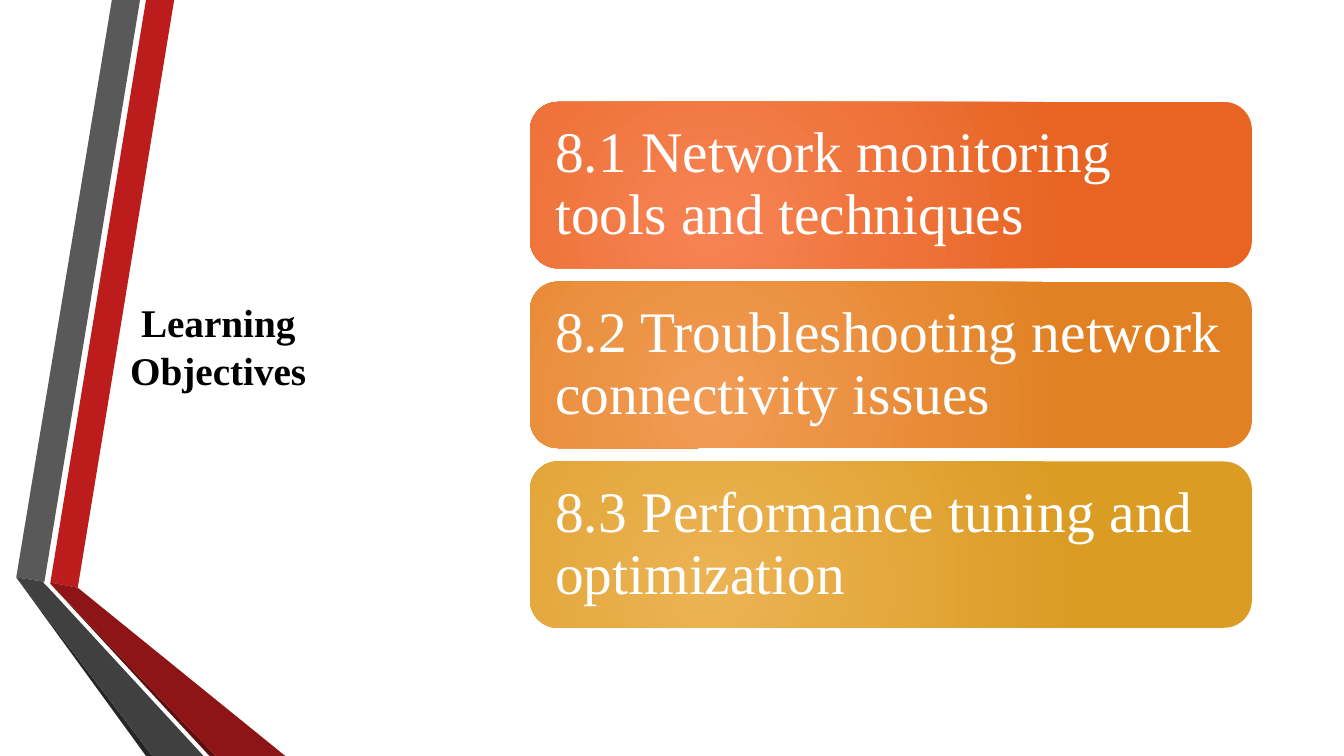
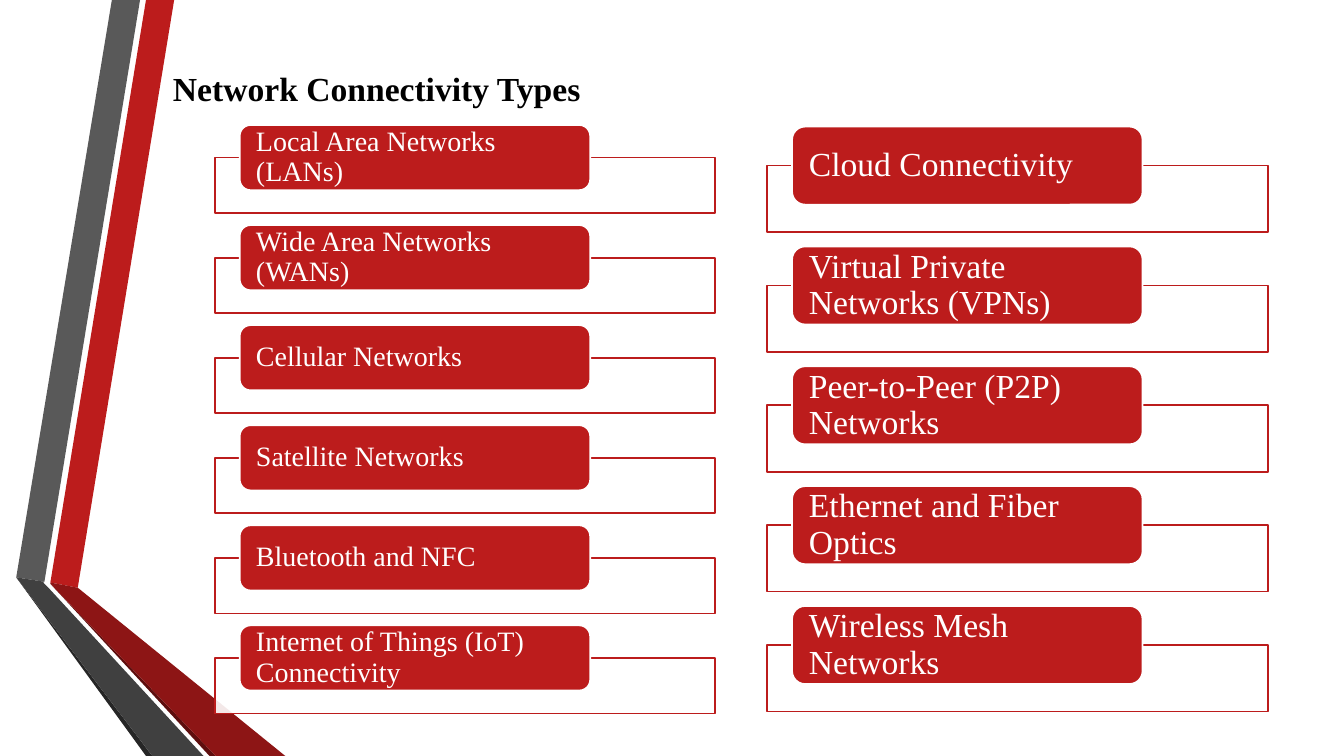
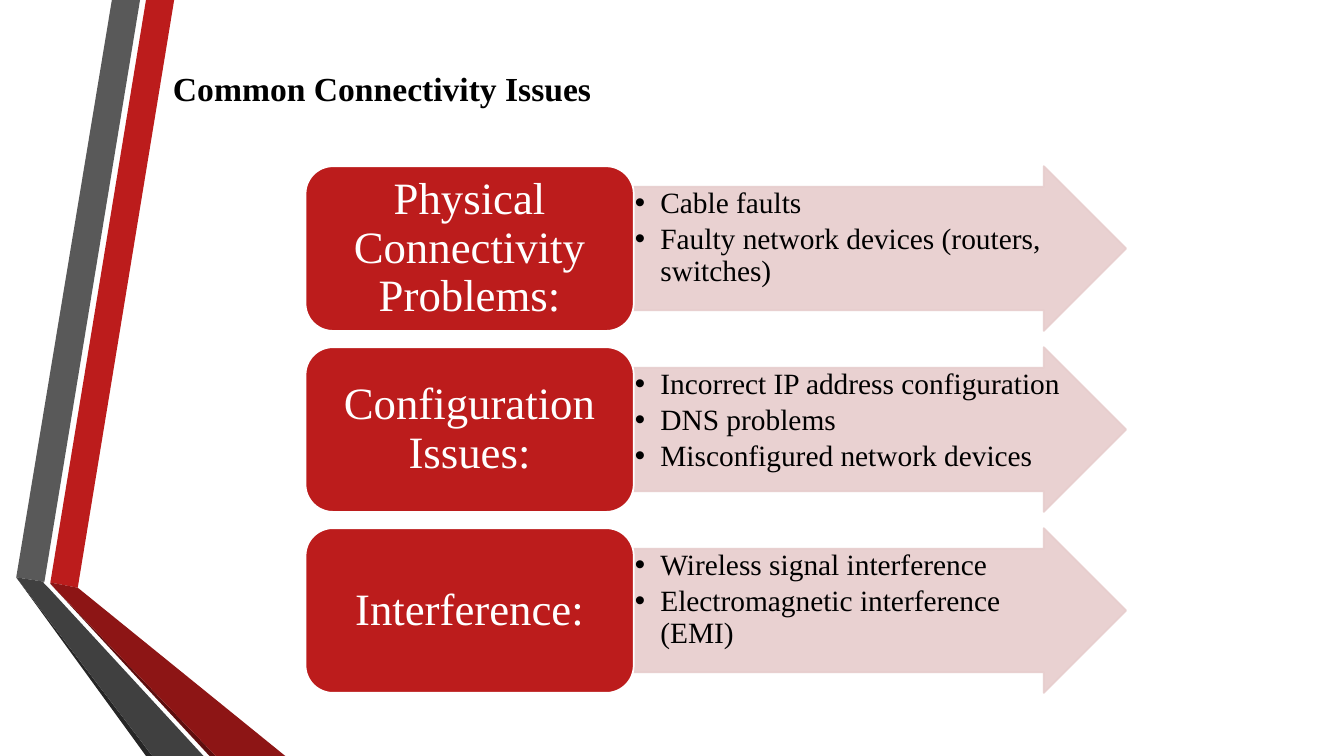
from collections import namedtuple

from lxml.etree import SubElement
from pptx import Presentation
from pptx.dml.color import RGBColor
from pptx.enum.shapes import MSO_SHAPE
from pptx.enum.text import MSO_ANCHOR, PP_ALIGN
from pptx.oxml.ns import qn
from pptx.util import Cm, Pt

Box = namedtuple("Box", "left top width height")  # centimetres

FONT = "Times New Roman"
RED, PINK, WHITE, BLACK = "BC1C1C", "E7CDCD", "FFFFFF", "000000"
LINE_WIDTH = Pt(1.25)
OPACITY = 90

RIBBONS = [
    (RED, [(1.27, 14.68), (1.96, 14.81), (4.39, 0), (3.68, 0)]),
    ("595959", [(3.53, 0), (2.82, 0), (0.41, 14.55), (1.12, 14.66)]),
    ("262626", [(0.41, 14.55), (3.68, 19.05), (3.84, 19.05)]),
    ("5E0E0E", [(1.27, 14.71), (5.28, 19.05), (5.44, 19.05)]),
    ("8D1515", [(1.27, 14.71), (5.44, 19.05), (7.19, 19.05), (1.96, 14.81), (1.27, 14.68)]),
    ("404040", [(5.13, 19.05), (1.22, 14.81), (1.09, 14.68), (1.12, 14.66),
                (0.41, 14.55), (3.84, 19.05)]),
]
HEADING_BOX = Box(4.11, 1.57, 27.84, 1.45)

OBJECTIVES = [
    ("8.1 Network monitoring tools and techniques", "F78354", "E76422"),
    ("8.2 Troubleshooting network connectivity issues", "F19B54", "E18123"),
    ("8.3 Performance tuning and optimization", "ECB354", "DB9C24"),
]
BASIC_TYPES = [
    "Local Area Networks (LANs)", "Wide Area Networks (WANs)", "Cellular Networks",
    "Satellite Networks", "Bluetooth and NFC", "Internet of Things (IoT) Connectivity",
]
ADVANCED_TYPES = [
    "Cloud Connectivity", "Virtual Private Networks (VPNs)", "Peer-to-Peer (P2P) Networks",
    "Ethernet and Fiber Optics", "Wireless Mesh Networks",
]
ISSUES = [
    ("Physical Connectivity Problems:",
     ["Cable faults", "Faulty network devices (routers, switches)"]),
    ("Configuration Issues:",
     ["Incorrect IP address configuration", "DNS problems", "Misconfigured network devices"]),
    ("Interference:",
     ["Wireless signal interference", "Electromagnetic interference (EMI)"]),
]


def rgb(color):
    return RGBColor.from_string(color)


def apply_format(target, values):
    for name, value in values.items():
        setattr(target, name, value)


def lengths(box):
    return [Cm(value) for value in box]


def split_rows(box, count, gap):
    """Divide a box into equal rows with a fixed gap between them."""
    height = (box.height - gap * (count - 1)) / count
    return [Box(box.left, box.top + index * (height + gap), box.width, height)
            for index in range(count)]


def paint(shape, fill=None, line=None):
    shape.shadow.inherit = False
    if fill:
        shape.fill.solid()
        shape.fill.fore_color.rgb = rgb(fill)
    if line:
        shape.line.color.rgb = rgb(line)
        shape.line.width = LINE_WIDTH
    else:
        shape.line.fill.background()


def make_translucent(shape, *parents):
    """Set the opacity of the solid fill found directly under each parent tag."""
    for parent in parents:
        for color in shape.element.iterfind(f".//{qn(parent)}/{qn('a:solidFill')}/{qn('a:srgbClr')}"):
            SubElement(color, qn("a:alpha"), val=str(OPACITY * 1000))


def paint_radial(shape, inner, outer):
    paint(shape)
    shape.fill.gradient()
    for stop, color in zip(shape.fill.gradient_stops, (inner, outer)):
        stop.color.rgb = rgb(color)
    gradient = shape.element.spPr.find(qn("a:gradFill"))
    gradient.remove(gradient.find(qn("a:lin")))
    circle = SubElement(gradient, qn("a:path"), path="circle")
    SubElement(circle, qn("a:fillToRect"), l="50000", t="100000", r="100000", b="50000")


def add_bullet(paragraph, indent):
    properties = paragraph._p.get_or_add_pPr()
    properties.set("marL", str(indent))
    properties.set("indent", str(-indent))
    SubElement(properties, qn("a:buFont"), typeface="Arial")
    SubElement(properties, qn("a:buChar"), char="•")


def write(shape, texts, size, color=WHITE, bold=False, margins=(0.25, 0.13),
          anchor=MSO_ANCHOR.MIDDLE, align=PP_ALIGN.LEFT, spacing=0.9, bullets=False):
    """Fill a shape with one paragraph per text; margins are horizontal, vertical."""
    horizontal, vertical = map(Cm, margins)
    frame = shape.text_frame
    apply_format(frame, {
        "word_wrap": True, "vertical_anchor": anchor,
        "margin_left": horizontal, "margin_right": horizontal,
        "margin_top": vertical, "margin_bottom": vertical,
    })
    for index, text in enumerate(texts):
        paragraph = frame.add_paragraph() if index else frame.paragraphs[0]
        apply_format(paragraph, {"alignment": align, "line_spacing": spacing})
        if bullets:
            paragraph.space_after = Pt(3)
            add_bullet(paragraph, Cm(0.64))
        run = paragraph.add_run()
        run.text = text
        apply_format(run.font, {"name": FONT, "size": Pt(size), "bold": bold})
        run.font.color.rgb = rgb(color)


def add_ribbons(slide):
    for color, points in RIBBONS:
        start, *others = [(Cm(x), Cm(y)) for x, y in points]
        builder = slide.shapes.build_freeform(*start)
        builder.add_line_segments(others, close=True)
        paint(builder.convert_to_shape(), color)


def add_title(slide, box, text, size, **text_format):
    title = slide.shapes.add_textbox(*lengths(box))
    write(title, [text], size, BLACK, bold=True, spacing=1.0, **text_format)


def add_objectives(slide, box):
    rows = split_rows(box, len(OBJECTIVES), 0.34)
    for row, (text, inner, outer) in zip(rows, OBJECTIVES):
        card = slide.shapes.add_shape(MSO_SHAPE.ROUNDED_RECTANGLE, *lengths(row))
        paint_radial(card, inner, outer)
        write(card, [text], 41, margins=(0.43, 0.43))


def add_type_list(slide, box, names, gap, size):
    """Stack framed rows, each with a label centred on the frame's top edge."""
    for row, name in zip(split_rows(box, len(names), gap), names):
        label_height = row.height * 0.74
        frame_box = Box(row.left, row.top + label_height / 2,
                        row.width, row.height - label_height / 2)
        label_box = Box(row.left + row.width * 0.05, row.top, row.width * 0.7, label_height)
        frame = slide.shapes.add_shape(MSO_SHAPE.RECTANGLE, *lengths(frame_box))
        paint(frame, WHITE, RED)
        make_translucent(frame, "p:spPr")
        label = slide.shapes.add_shape(MSO_SHAPE.ROUNDED_RECTANGLE, *lengths(label_box))
        paint(label, RED, WHITE)
        write(label, [name], size, margins=(0.33, 0))


def add_issues(slide, box):
    for row, (name, causes) in zip(split_rows(box, len(ISSUES), 0.41), ISSUES):
        label_width = row.width * 0.4
        label_box = row._replace(width=label_width)
        arrow_box = row._replace(left=row.left + label_width, width=row.width - label_width)
        arrow = slide.shapes.add_shape(MSO_SHAPE.RIGHT_ARROW, *lengths(arrow_box))
        arrow.adjustments[0] = 0.75
        paint(arrow, PINK, PINK)
        make_translucent(arrow, "p:spPr", "a:ln")
        write(arrow, causes, 21, BLACK, margins=(0.03, 0.03),
              anchor=MSO_ANCHOR.TOP, bullets=True)
        label = slide.shapes.add_shape(MSO_SHAPE.ROUNDED_RECTANGLE, *lengths(label_box))
        paint(label, RED, WHITE)
        write(label, [name], 32, margins=(0.33, 0.18), align=PP_ALIGN.CENTER)


def add_base_slide(presentation):
    slide = presentation.slides.add_slide(presentation.slide_layouts[6])
    add_ribbons(slide)
    return slide


def add_headed_slide(presentation, heading):
    slide = add_base_slide(presentation)
    add_title(slide, HEADING_BOX, heading, 24, anchor=MSO_ANCHOR.TOP)
    return slide


def main():
    presentation = Presentation()
    apply_format(presentation, {"slide_width": Cm(33.87), "slide_height": Cm(19.05)})

    objectives = add_base_slide(presentation)
    add_title(objectives, Box(1.9, 1.78, 7.2, 13.87), "Learning Objectives", 28,
              align=PP_ALIGN.CENTER)
    add_objectives(objectives, Box(13.36, 2.57, 18.19, 13.25))

    types = add_headed_slide(presentation, "Network Connectivity Types")
    add_type_list(types, Box(5.41, 3.15, 12.62, 14.83), BASIC_TYPES, 0.3, 20)
    add_type_list(types, Box(19.33, 3.19, 12.62, 14.74), ADVANCED_TYPES, 0.36, 24)

    issues = add_headed_slide(presentation, "Common Connectivity Issues")
    add_issues(issues, Box(7.7, 4.19, 20.68, 13.27))

    presentation.save("out.pptx")


if __name__ == "__main__":
    main()
